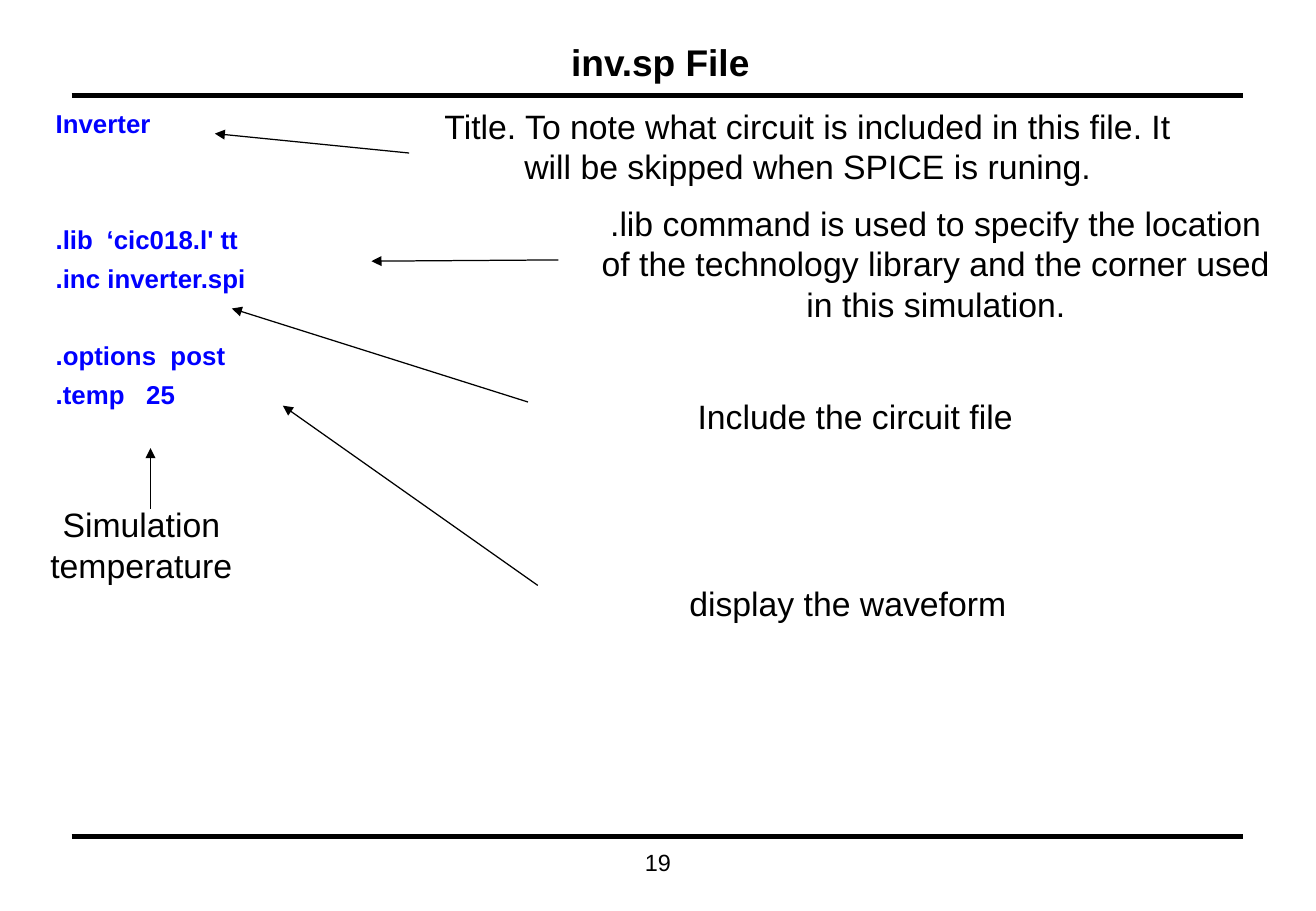
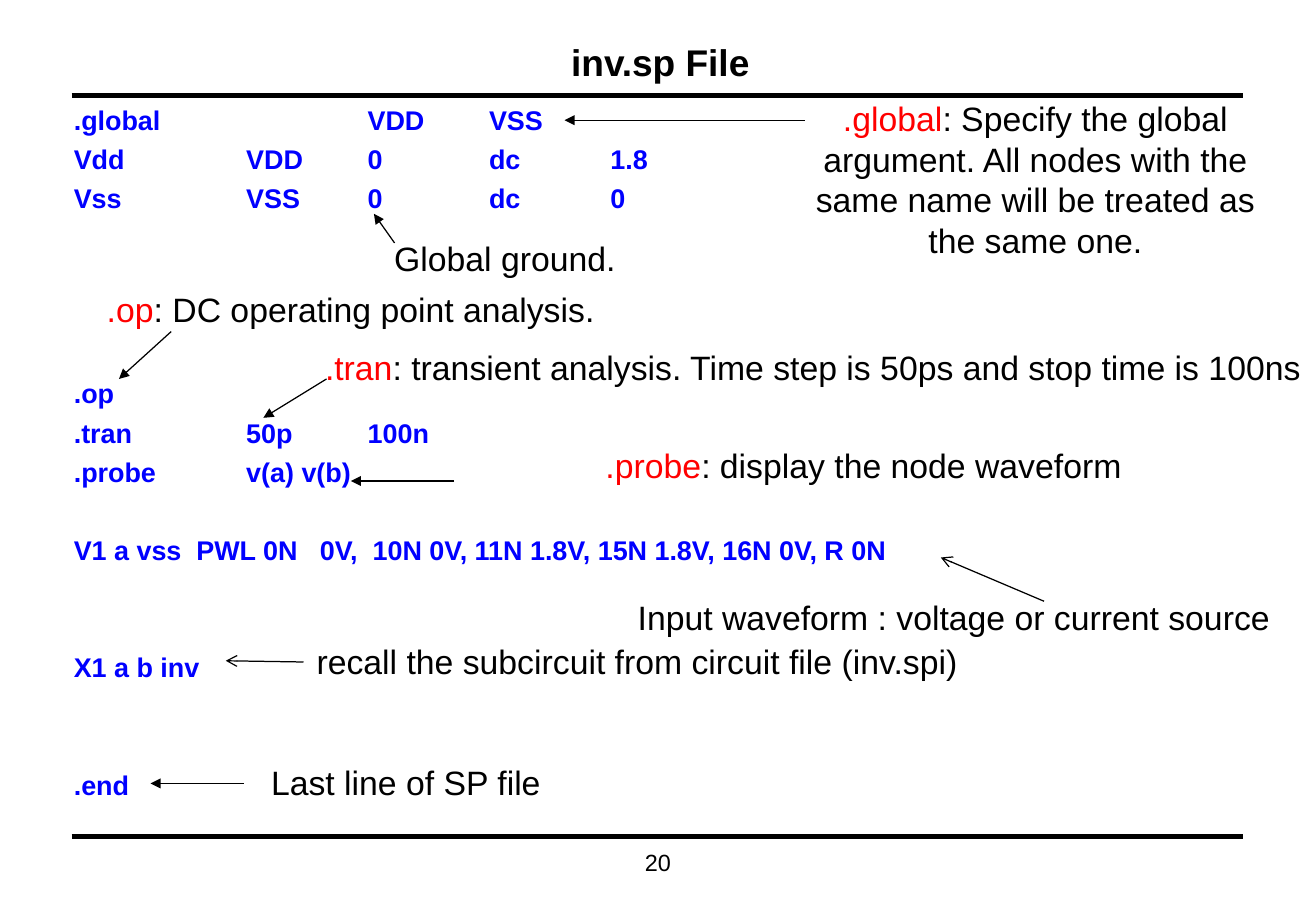
from dataclasses import dataclass
from lxml import etree
from pptx import Presentation
from pptx.dml.color import RGBColor
from pptx.enum.shapes import MSO_CONNECTOR
from pptx.enum.text import MSO_ANCHOR, MSO_AUTO_SIZE, PP_ALIGN
from pptx.oxml.ns import qn
from pptx.util import Inches, Pt


@dataclass(frozen=True)
class Theme:
    font: str = "Arial"
    ink: RGBColor = RGBColor(0, 0, 0)
    code: RGBColor = RGBColor(0, 0, 255)
    keyword: RGBColor = RGBColor(255, 0, 0)
    title_size: float = 22
    note_size: float = 20
    page_size: float = 13.9
    rule_width: float = 3
    arrow_width: float = 0.75


THEME = Theme()
WIDTH, HEIGHT = 10.84, 7.5
RULE_LEFT, RULE_RIGHT = 0.59, 10.24
RULE_ROWS = (0.79, 6.89)
TITLE_BOX = (0.51, 0.27, 9.86, 0.48)
PAGE_BOX = (4.45, 6.93, 1.94, 0.34)
LINE_HEIGHT = 1.2  # natural line height, as a share of the type size
NOTE_LINE, NOTE_PADDING = 0.33, 0.11

# Code lines: (empty rows above, text)
# Notes: (left, top, width, rows, keyword, text, wraps)
# Arrows: (from, to, head); a from that is a note's number starts at its left side
SLIDES = [
    {
        "title": "inv.sp File",
        "page": "19",
        "code": {
            "at": (0.36, 0.84, 9.75, 2.98), "size": 15.3, "pitch": 22.9,
            "tabs": [0.42],
            "lines": [
                (0, "Inverter"),
                (2, ".lib\t‘cic018.l' tt"),
                (0, ".inc inverter.spi"),
                (1, ".options  post"),
                (0, ".temp   25"),
            ],
        },
        "notes": [
            (3.37, 0.82, 6.57, 2, "", "Title. To note what circuit is included in this "
             "file. It will be skipped when SPICE is runing.", True),
            (4.8, 1.62, 5.82, 3, "", ".lib command is used to specify the location of the "
             "technology library and the corner used in this simulation.", True),
            (4.51, 4.75, 4.95, 1, "", "display the waveform", True),
            (0.31, 4.1, 1.71, 2, "", "Simulation temperature", True),
            (4.57, 3.21, 4.95, 1, "", "Include the circuit file", True),
        ],
        "arrows": [
            ((3.37, 1.26), (1.77, 1.1), "triangle"),
            ((4.6, 2.14), (3.06, 2.15), "triangle"),
            ((4.43, 4.82), (2.33, 3.34), "triangle"),
            ((1.24, 4.19), (1.24, 3.69), "triangle"),
            ((4.35, 3.31), (1.91, 2.54), "triangle"),
        ],
    },
    {
        "title": "inv.sp File",
        "page": "20",
        "code": {
            "at": (0.51, 0.8, 9.75, 6.06), "size": 16, "pitch": 23.2,
            "tabs": [1.42 + column for column in range(4)],
            "lines": [
                (0, ".global\t\tVDD\tVSS"),
                (0, "Vdd\tVDD\t0\tdc\t1.8"),
                (0, "Vss\tVSS\t0\tdc\t0"),
                (4, ".op"),
                (0, ".tran\t50p\t100n"),
                (0, ".probe\tv(a) v(b)"),
                (1, "V1 a vss  PWL 0N   0V,  10N 0V, 11N 1.8V, 15N 1.8V, 16N 0V, R 0N"),
                (2, "X1 a b inv"),
                (2, ".end"),
            ],
        },
        "notes": [
            (6.61, 0.76, 3.84, 4, ".global", ": Specify the global argument. All nodes "
             "with the same name will be treated as the same one.", True),
            (3.1, 1.91, 2.12, 1, "", "Global ground.", False),
            (0.73, 2.33, 4.32, 1, ".op", ": DC operating point analysis.", False),
            (2.57, 2.81, 8.26, 1, ".tran",
             ": transient analysis. Time step is 50ps and stop time is 100ns", False),
            (4.03, 3.61, 6.17, 1, ".probe", ": display the node waveform", True),
            (2.5, 5.23, 5.5, 1, "",
             "recall the subcircuit from circuit file (inv.spi)", False),
            (2.08, 6.22, 2.53, 1, "", "Last line of SP file", False),
            (5.11, 4.86, 5.5, 1, "", "Input waveform : voltage or current source", True),
        ],
        "arrows": [
            ((3.25, 2), (3.08, 1.76), "triangle"),
            ((1.41, 2.73), (0.98, 3.12), "triangle"),
            ((2.69, 3.12), (2.17, 3.44), "triangle"),
            ((3.74, 3.96), (2.89, 3.96), "triangle"),
            ((2.01, 6.45), (1.24, 6.45), "triangle"),
            ((6.63, 0.99), (4.65, 0.99), "triangle"),
            (5, (1.86, 5.44), "arrow"),
            ((8.6, 4.95), (7.75, 4.59), "arrow"),
        ],
    },
]


def add_box(slide, at, wraps=True, anchor=MSO_ANCHOR.TOP):
    box = slide.shapes.add_textbox(*map(Inches, at))
    box.text_frame.word_wrap = wraps
    box.text_frame.vertical_anchor = anchor
    return box


def style(paragraph, size, color=THEME.ink, bold=False, align=PP_ALIGN.CENTER):
    paragraph.alignment = align
    font = paragraph.font
    font.name, font.size, font.bold = THEME.font, Pt(size), bold
    font.color.rgb = color


def add_line(slide, start, end, width, head=None):
    line = slide.shapes.add_connector(
        MSO_CONNECTOR.STRAIGHT, *map(Inches, (*start, *end)))
    line.line.color.rgb = THEME.ink
    line.line.width = Pt(width)
    properties = line._element.spPr
    if head:
        etree.SubElement(properties.find(qn("a:ln")), qn("a:tailEnd"), type=head)
    etree.SubElement(properties, qn("a:effectLst"))
    return line


def add_frame(slide, title, page):
    """Rules, title and page number shared by the slides."""
    for y in RULE_ROWS:
        add_line(slide, (RULE_LEFT, y), (RULE_RIGHT, y), THEME.rule_width)
    heading = add_box(slide, TITLE_BOX, anchor=MSO_ANCHOR.MIDDLE).text_frame.paragraphs[0]
    heading.text = title
    style(heading, THEME.title_size, bold=True)
    number = add_box(slide, PAGE_BOX).text_frame.paragraphs[0]
    number.text = page
    style(number, THEME.page_size)


def add_code(slide, at, size, pitch, tabs, lines):
    frame = add_box(slide, at).text_frame
    for index, (empty_rows, text) in enumerate(lines):
        line = frame.add_paragraph() if index else frame.paragraphs[0]
        line.text = text
        if index:
            line.space_before = Pt(pitch * (empty_rows + 1) - size * LINE_HEIGHT)
        if "\t" in text:
            stops = etree.SubElement(line._p.get_or_add_pPr(), qn("a:tabLst"))
            for stop in tabs:
                etree.SubElement(stops, qn("a:tab"), pos=str(Inches(stop)), algn="l")
        style(line, size, THEME.code, bold=True, align=PP_ALIGN.LEFT)


def add_note(slide, left, top, width, rows, keyword, text, wraps):
    box = add_box(slide, (left, top, width, rows * NOTE_LINE + NOTE_PADDING), wraps)
    box.text_frame.auto_size = MSO_AUTO_SIZE.SHAPE_TO_FIT_TEXT
    note = box.text_frame.paragraphs[0]
    if keyword:
        lead = note.add_run()
        lead.text = keyword
        lead.font.color.rgb = THEME.keyword
    note.add_run().text = text
    style(note, THEME.note_size)
    return box


def main():
    deck = Presentation()
    deck.slide_width, deck.slide_height = Inches(WIDTH), Inches(HEIGHT)
    for content in SLIDES:
        slide = deck.slides.add_slide(deck.slide_layouts[6])
        add_frame(slide, content["title"], content["page"])
        add_code(slide, **content["code"])
        notes = [add_note(slide, *note) for note in content["notes"]]
        for start, end, head in content["arrows"]:
            joined = isinstance(start, int)
            arrow = add_line(slide, end if joined else start, end,
                             THEME.arrow_width, head)
            if joined:
                arrow.begin_connect(notes[start], 1)
    deck.save("out.pptx")


if __name__ == "__main__":
    main()
